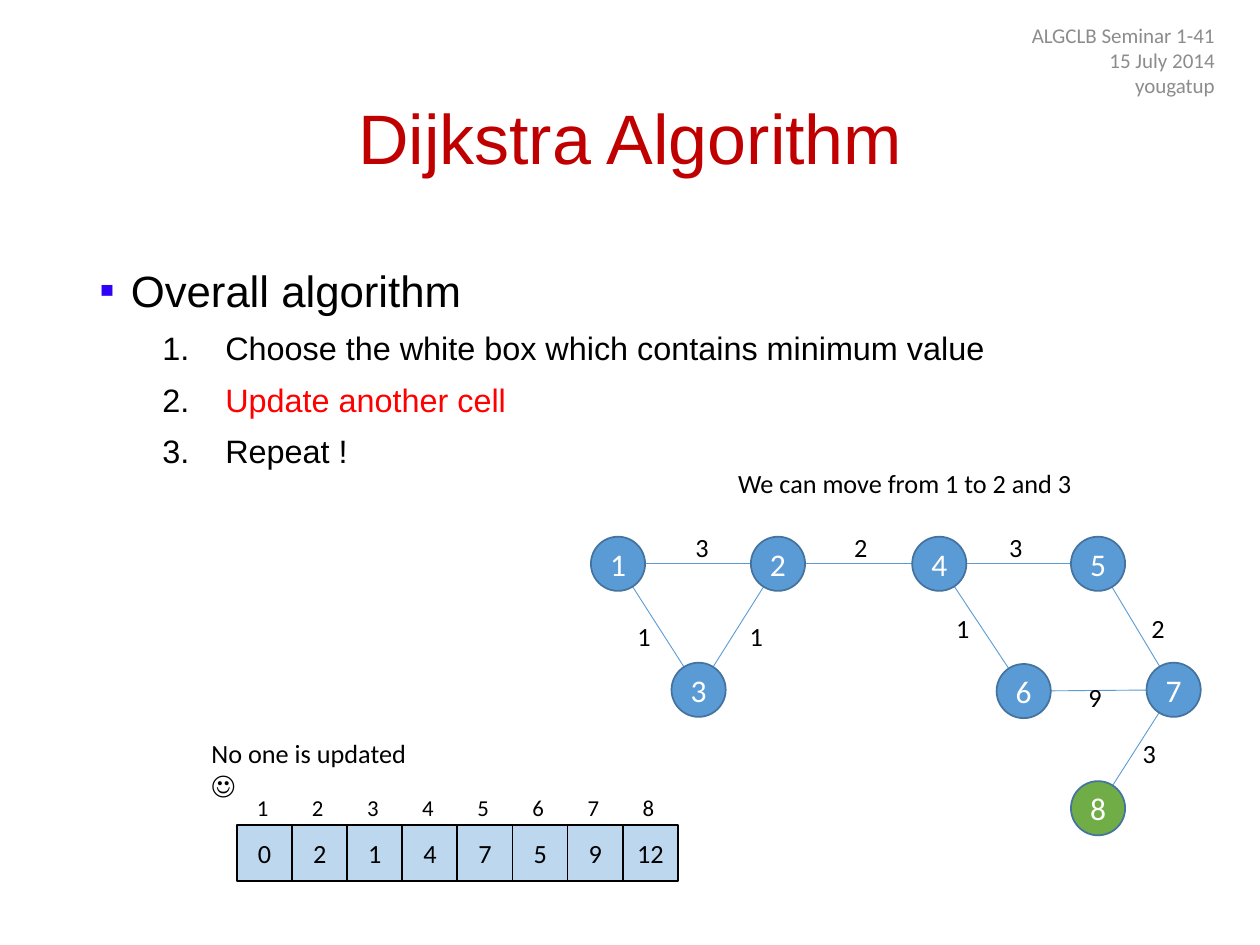
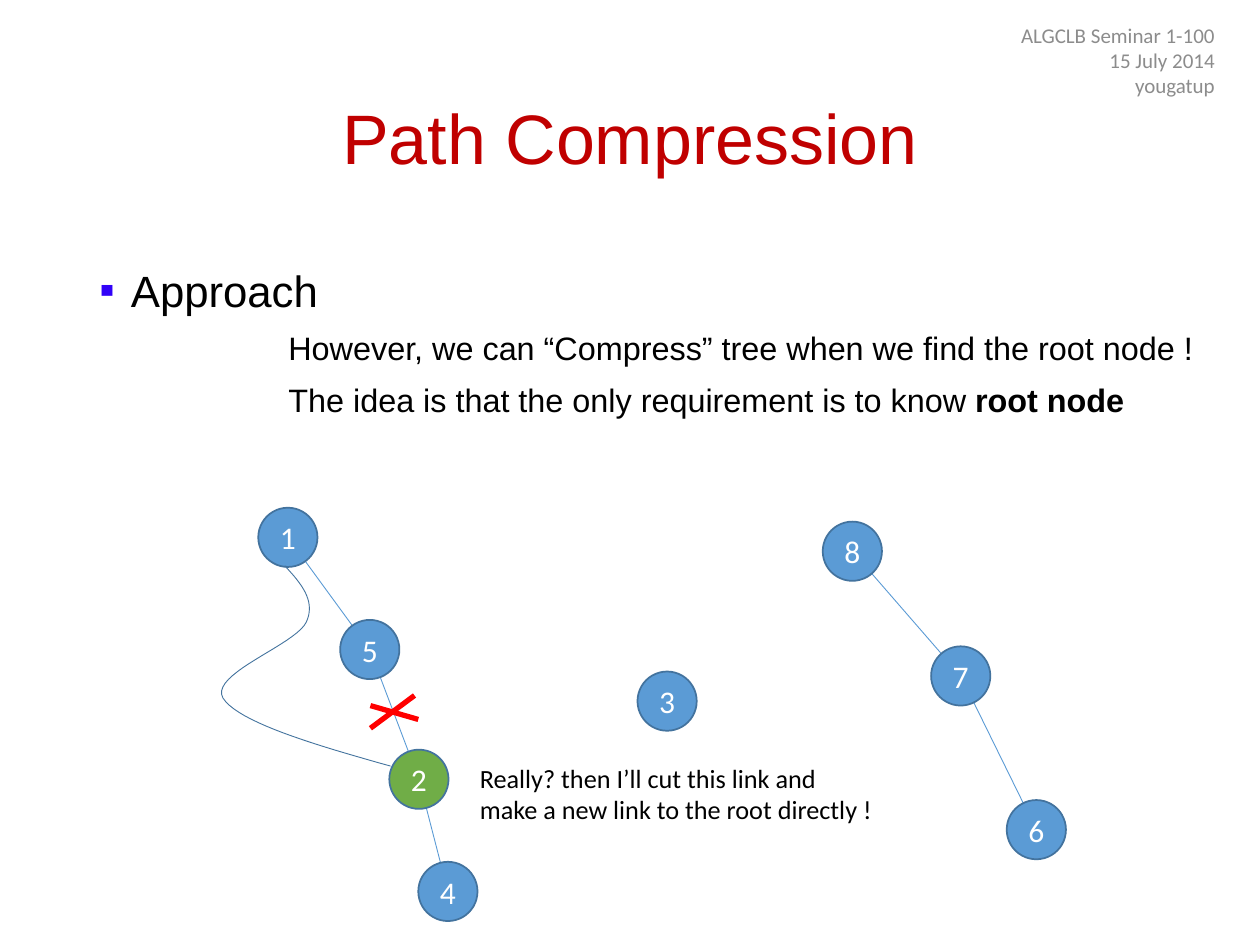
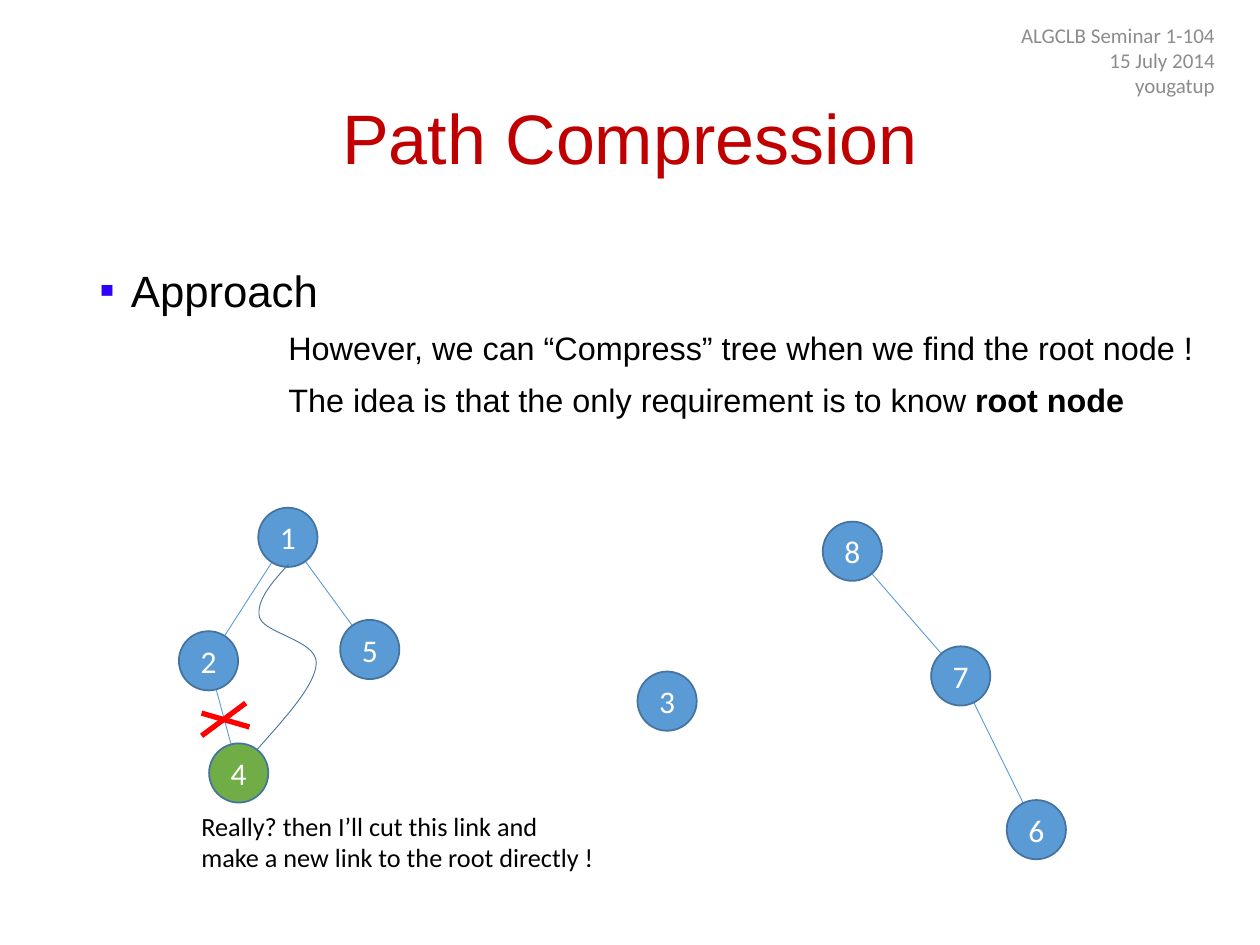
import pptx
import pptx.util
import pptx.dml.color
import pptx.enum.shapes
import pptx.enum.text
import pptx.oxml.ns
from lxml import etree

Inches = pptx.util.Inches
Pt = pptx.util.Pt
RGBColor = pptx.dml.color.RGBColor
MSO_SHAPE = pptx.enum.shapes.MSO_SHAPE
MSO_CONNECTOR = pptx.enum.shapes.MSO_CONNECTOR
PP_ALIGN = pptx.enum.text.PP_ALIGN
MSO_ANCHOR = pptx.enum.text.MSO_ANCHOR
MSO_AUTO_SIZE = pptx.enum.text.MSO_AUTO_SIZE
qn = pptx.oxml.ns.qn

TITLE_RED = RGBColor(0xC0, 0x00, 0x00)
BULLET_BLUE = RGBColor(0x31, 0x02, 0xF8)
HEADER_GRAY = RGBColor(0x8C, 0x8C, 0x8C)
NODE_BLUE = RGBColor(0x5B, 0x9B, 0xD5)
NODE_BORDER = RGBColor(0x43, 0x73, 0x9E)
NODE_GREEN = RGBColor(0x70, 0xAD, 0x47)
CELL_BLUE = RGBColor(0xBD, 0xD7, 0xEE)
RED = RGBColor(0xFF, 0x00, 0x00)
BLACK = RGBColor(0x00, 0x00, 0x00)
WHITE = RGBColor(0xFF, 0xFF, 0xFF)
HEAD_FONT = "Arial"
NOTE_FONT = "Calibri"

CUT_NOTE = ["Really? then I’ll cut this link and", "make a new link to the root directly !"]
APPROACH = [
    [("However, we can “Compress” tree when we find the root node !", BLACK, False)],
    [("The idea is that the only requirement is to know ", BLACK, False),
     ("root node", BLACK, True)],
]


class Deck:
    """Hold the lecture style and draw elements on the current slide."""

    def __init__(self):
        self.prs = pptx.Presentation()
        self.prs.slide_width = Inches(10)
        self.prs.slide_height = Inches(7.5)
        self.s = None

    def add_run(self, p, text, size, color, font=NOTE_FONT, bold=False):
        r = p.add_run()
        r.text = text
        r.font.size = Pt(size)
        r.font.name = font
        r.font.color.rgb = color
        r.font.bold = bold

    def new_slide(self, title, page):
        self.s = self.prs.slides.add_slide(self.prs.slide_layouts[5])
        sp = self.s.shapes.title
        sp.left, sp.top = Inches(0.69), Inches(0.4)
        sp.width, sp.height = Inches(8.62), Inches(1.45)
        tf = sp.text_frame
        tf.vertical_anchor = MSO_ANCHOR.MIDDLE
        tf.auto_size = MSO_AUTO_SIZE.NONE
        p = tf.paragraphs[0]
        p.alignment = PP_ALIGN.CENTER
        p.line_spacing = 0.9
        self.add_run(p, title, 40, TITLE_RED, HEAD_FONT)
        self.header(page)

    def text_box(self, x, y, w, h, wrap=True):
        tf = self.s.shapes.add_textbox(Inches(x), Inches(y), Inches(w), Inches(h)).text_frame
        tf.word_wrap = wrap
        return tf

    def header(self, page):
        tf = self.text_box(7.49, 0.2, 2.25, 0.55)
        tf.vertical_anchor = MSO_ANCHOR.MIDDLE
        for i, line in enumerate([f"ALGCLB Seminar 1-{page}", "15 July 2014", "yougatup"]):
            p = tf.add_paragraph() if i else tf.paragraphs[0]
            p.alignment = PP_ALIGN.RIGHT
            self.add_run(p, line, 12, HEADER_GRAY)

    def indent(self, p, left, first, color=None, bullet=None, **attrs):
        pPr = p._p.get_or_add_pPr()
        pPr.set("marL", str(Inches(left)))
        pPr.set("indent", str(Inches(first)))
        if bullet:
            clr = etree.SubElement(pPr, qn("a:buClr"))
            etree.SubElement(clr, qn("a:srgbClr")).set("val", str(color))
            etree.SubElement(pPr, qn("a:buFont")).set("typeface", HEAD_FONT)
            bu = etree.SubElement(pPr, qn(bullet))
            for name, value in attrs.items():
                bu.set(name, value)

    def body(self, heading, items, width, numbered=False):
        tf = self.text_box(0.69, 2, width, 4.76)
        p = tf.paragraphs[0]
        self.indent(p, 0.25, -0.25, BULLET_BLUE, "a:buChar", char="▪")
        p.line_spacing, p.space_before = 1.1, Pt(10)
        self.add_run(p, heading, 25, BLACK, HEAD_FONT)
        for runs in items:
            p = tf.add_paragraph()
            p.level = 1
            if numbered:
                self.indent(p, 1, -0.5, BLACK, "a:buAutoNum", type="arabicPeriod")
            else:
                self.indent(p, 1.5, 0)
            p.line_spacing, p.space_before = 1.1, Pt(5)
            for text, color, bold in runs:
                self.add_run(p, text, 18.5, color, HEAD_FONT, bold)

    def label(self, x, y, w, h, lines, size=15):
        tf = self.text_box(x, y, w, h, wrap=False)
        tf.auto_size = MSO_AUTO_SIZE.SHAPE_TO_FIT_TEXT
        p = tf.paragraphs[0]
        for i, line in enumerate(lines):
            if i:
                p.add_line_break()
            self.add_run(p, line, size, BLACK)

    def box(self, kind, x, y, side, text, size, fill, border, color):
        sp = self.s.shapes.add_shape(kind, Inches(x), Inches(y), Inches(side), Inches(side))
        sp.shadow.inherit = False
        sp.fill.solid()
        sp.fill.fore_color.rgb = fill
        sp.line.color.rgb = border
        sp.line.width = Pt(1)
        tf = sp.text_frame
        tf.margin_left = tf.margin_right = tf.margin_top = tf.margin_bottom = 0
        tf.vertical_anchor = MSO_ANCHOR.MIDDLE
        p = tf.paragraphs[0]
        p.alignment = PP_ALIGN.CENTER
        self.add_run(p, text, size, color)

    def line(self, x1, y1, x2, y2, color=NODE_BLUE, width=0.5):
        cn = self.s.shapes.add_connector(
            MSO_CONNECTOR.STRAIGHT, Inches(x1), Inches(y1), Inches(x2), Inches(y2))
        cn.line.color.rgb = color
        cn.line.width = Pt(width)
        etree.SubElement(cn._element.spPr, qn("a:effectLst"))

    def graph(self, nodes, edges, side, current):
        half = side / 2
        for a, b in edges:
            (x1, y1), (x2, y2) = nodes[a], nodes[b]
            self.line(x1 + half, y1 + half, x2 + half, y2 + half)
        for n, (x, y) in nodes.items():
            fill = NODE_GREEN if n == current else NODE_BLUE
            self.box(MSO_SHAPE.OVAL, x, y, side, str(n), 18, fill, NODE_BORDER, WHITE)

    def array(self, x, y, values):
        step = 3.5 / len(values)
        for i, value in enumerate(values):
            left = x + i * step
            self.box(MSO_SHAPE.RECTANGLE, left, y, 0.44, str(value), 15, CELL_BLUE, BLACK, BLACK)
            self.label(left + 0.06, y - 0.3, 0.29, 0.32, [str(i + 1)], 13)

    def cross(self, x, y):
        self.line(x + 0.35, y, x, y + 0.26, RED, 3)
        self.line(x, y + 0.08, x + 0.38, y + 0.19, RED, 3)

    def curve(self, points, steps=20):
        track = []
        for k in range(0, len(points) - 1, 3):
            for t in (i / steps for i in range(1, steps + 1)):
                weights = ((1 - t) ** 3, 3 * t * (1 - t) ** 2, 3 * t * t * (1 - t), t ** 3)
                track.append(tuple(
                    Inches(sum(w * pt[axis] for w, pt in zip(weights, points[k:k + 4])))
                    for axis in (0, 1)))
        x, y = points[0]
        fb = self.s.shapes.build_freeform(Inches(x), Inches(y))
        fb.add_line_segments(track, close=False)
        sp = fb.convert_to_shape()
        sp.shadow.inherit = False
        sp.fill.background()
        sp.line.color.rgb = NODE_BORDER
        sp.line.width = Pt(0.5)


def dijkstra(deck):
    deck.new_slide("Dijkstra Algorithm", 41)
    deck.body("Overall algorithm", [
        [("Choose the white box which contains minimum value", BLACK, False)],
        [("Update another cell", RED, False)],
        [("Repeat !", BLACK, False)],
    ], 9.05, numbered=True)
    nodes = {1: (4.69, 4.26), 2: (5.96, 4.26), 3: (5.33, 5.26), 4: (7.24, 4.26),
             5: (8.5, 4.26), 6: (7.91, 5.27), 7: (9.1, 5.26), 8: (8.5, 6.2)}
    edges = [(1, 2), (1, 3), (3, 2), (2, 4), (4, 5), (4, 6), (6, 7), (5, 7), (7, 8)]
    deck.graph(nodes, edges, 0.43, current=8)
    weights = [(5.42, 4.17, 3), (4.96, 4.87, 1), (5.85, 4.87, 1), (6.68, 4.17, 2),
               (7.91, 4.17, 3), (7.49, 4.81, 1), (8.54, 5.36, 9), (9.04, 4.81, 2),
               (8.97, 5.8, 3)]
    for x, y, weight in weights:
        deck.label(x, y, 0.31, 0.35, [str(weight)])
    deck.array(1.88, 6.55, [0, 2, 1, 4, 7, 5, 9, 12])
    deck.label(5.76, 3.66, 2.87, 0.35, ["We can move from 1 to 2 and 3"])
    deck.label(1.58, 5.8, 1.98, 0.35, ["No one is updated ☺"])


def compression(deck, page, moved, edges, current, note, cut, new_link):
    deck.new_slide("Path Compression", page)
    deck.body("Approach", APPROACH, 9.19)
    nodes = {1: (2.05, 4.03), 3: (5.06, 5.33), 5: (2.7, 4.92),
             6: (7.99, 6.35), 7: (7.39, 5.13), 8: (6.53, 4.14), **moved}
    deck.graph(nodes, [(1, 5), (8, 7), (7, 6)] + edges, 0.47, current)
    deck.label(*note, 3.35, 0.61, CUT_NOTE)
    deck.cross(*cut)
    deck.curve(new_link)


def main():
    deck = Deck()
    dijkstra(deck)
    compression(
        deck, 100, {2: (3.09, 5.95), 4: (3.32, 6.84)}, [(5, 2), (2, 4)], 2,
        (3.71, 6), (2.94, 5.52),
        [(3.1, 6.08), (2.49, 5.91), (1.89, 5.73), (1.77, 5.54), (1.66, 5.35),
         (2.34, 5.12), (2.43, 4.94), (2.51, 4.77), (2.39, 4.63), (2.26, 4.49)])
    compression(
        deck, 104, {2: (1.42, 5.01), 4: (1.66, 5.9)}, [(1, 2), (2, 4)], 4,
        (1.5, 6.38), (1.6, 5.58),
        [(2.04, 5.95), (2.27, 5.69), (2.51, 5.43), (2.51, 5.26), (2.51, 5.08),
         (2.1, 5.03), (2.06, 4.9), (2.03, 4.77), (2.16, 4.62), (2.29, 4.48)])
    deck.prs.save("out.pptx")


if __name__ == "__main__":
    main()
